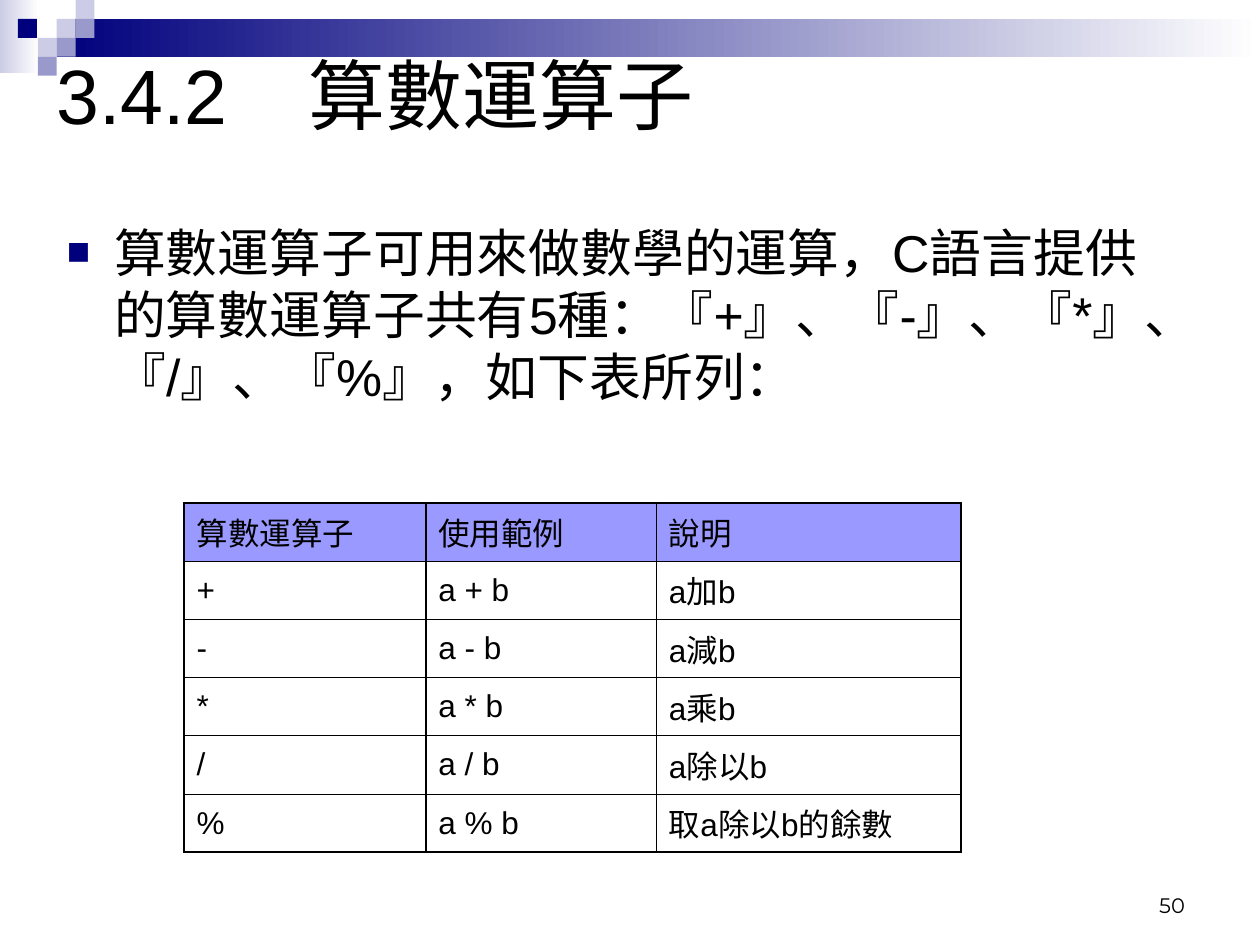
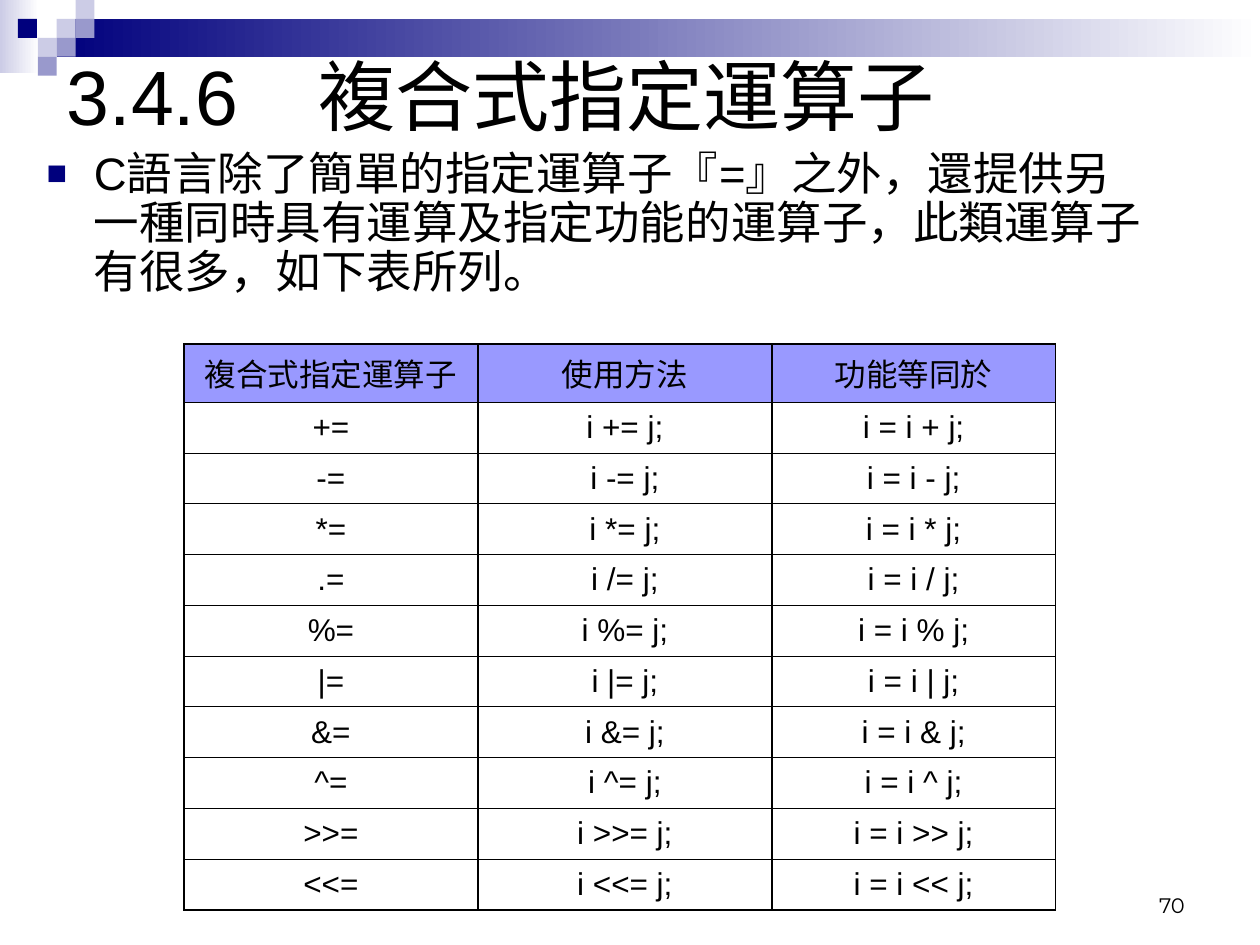
import pptx
import pptx.dml.color
import pptx.enum.shapes
import pptx.enum.text
import pptx.oxml
import pptx.oxml.ns
import pptx.util
from lxml import etree

Pt = pptx.util.Pt
ALIGN = pptx.enum.text.PP_ALIGN
ANCHOR = pptx.enum.text.MSO_ANCHOR
qn = pptx.oxml.ns.qn

BLACK, WHITE = "000000", "FFFFFF"
NAVY, LILAC, MAUVE = "00007D", "CCCCE6", "9999CC"
HEADER = "9999FF"
FONT, NUMBER_FONT = "Arial", "Montserrat"
TILE = 10.8
TILES = [(3, 1, LILAC), (4, 0, LILAC), (4, 1, MAUVE), (2, 2, LILAC),
         (0.95, 1, NAVY), (3, 2, MAUVE), (2, 3, MAUVE)]
THICK, THIN = 1.08, 0.45


def rgb(value):
    return pptx.dml.color.RGBColor.from_string(value)


def sub(parent, tag, **attrs):
    return etree.SubElement(parent, qn(tag), attrs)


class Deck:
    def __init__(self):
        self.prs = pptx.Presentation()
        self.prs.slide_width, self.prs.slide_height = Pt(720), Pt(540)
        self.layout = self.prs.slide_layouts[1]
        self.s = None

    def new_slide(self):
        self.s = self.prs.slides.add_slide(self.layout)
        if len(self.prs.slides) == 1:
            self.decorate_layout()

    def decorate_layout(self):
        """Draw the band and tiles, then move them to the shared layout."""
        band = [self.rect(0, 0, 22.3, 41.8, LILAC, True),
                self.rect(32.4, TILE, 687.6, 2 * TILE, NAVY, True)]
        band += [self.rect(col * TILE, row * TILE, TILE, TILE, color)
                 for col, row, color in TILES]
        tree = self.layout.shapes.element
        for i, sp in enumerate(band):
            sp.element.xpath(".//p:cNvPr")[0].set("id", str(100 + i))
            tree.insert(2 + i, sp.element)

    def rect(self, x, y, w, h, color, fade=False):
        """Add a borderless rectangle; fade runs from color to white."""
        sp = self.s.shapes.add_shape(
            pptx.enum.shapes.MSO_SHAPE.RECTANGLE, Pt(x), Pt(y), Pt(w), Pt(h))
        sp.shadow.inherit = False
        sp.line.fill.background()
        if fade:
            sp.fill.gradient()
            sp.fill.gradient_angle = 180
            for stop, value in zip(sp.fill.gradient_stops, (WHITE, color)):
                stop.color.rgb = rgb(value)
        else:
            sp.fill.solid()
            sp.fill.fore_color.rgb = rgb(color)
        return sp

    def style(self, p, size, align=ALIGN.LEFT, font=FONT):
        p.alignment = align
        p.space_before = Pt(0)
        for r in p.runs:
            r.font.size, r.font.name = Pt(size), font
            r.font.color.rgb = rgb(BLACK)

    def place(self, sp, box, anchor):
        sp.left, sp.top, sp.width, sp.height = map(Pt, box)
        tf = sp.text_frame
        tf.word_wrap = True
        tf.auto_size = pptx.enum.text.MSO_AUTO_SIZE.NONE
        tf.vertical_anchor = anchor
        return tf

    def title(self, number, text, box):
        tf = self.place(self.s.shapes.title, box, ANCHOR.MIDDLE)
        tf.text = f"{number}\t{text}"
        p = tf.paragraphs[0]
        tabs = sub(p._p.get_or_add_pPr(), "a:tabLst")
        sub(tabs, "a:tab", pos=str(Pt(144)), algn="l")
        self.style(p, 44)

    def bullet(self, text, box, size, spacing=1.0):
        tf = self.place(self.s.placeholders[1], box, ANCHOR.TOP)
        tf.text = text
        p = tf.paragraphs[0]
        pPr = p._p.get_or_add_pPr()
        pPr.set("marL", str(Pt(27)))
        pPr.set("indent", str(-Pt(27)))
        sub(sub(pPr, "a:buClr"), "a:srgbClr", val=NAVY)
        sub(pPr, "a:buSzPct", val="75000")
        sub(pPr, "a:buFont", typeface=FONT)
        sub(pPr, "a:buChar", char="■")
        p.line_spacing = spacing
        self.style(p, size)

    def borders(self, cell, first, last):
        widths = {"a:lnL": THICK, "a:lnR": THICK,
                  "a:lnT": THICK if first else THIN,
                  "a:lnB": THICK if last else THIN}
        tcPr = cell._tc.get_or_add_tcPr()
        for tag, width in widths.items():
            ln = sub(tcPr, tag, w=str(Pt(width)))
            sub(sub(ln, "a:solidFill"), "a:srgbClr", val=BLACK)

    def table(self, rows, x, y, widths, row_height, align=ALIGN.LEFT):
        header_height = 33.3
        height = header_height + row_height * (len(rows) - 1)
        table = self.s.shapes.add_table(
            len(rows), len(widths), Pt(x), Pt(y), Pt(sum(widths)), Pt(height)).table
        table.first_row = table.horz_banding = False
        for column, width in zip(table.columns, widths):
            column.width = Pt(width)
        for i, row in enumerate(rows):
            table.rows[i].height = Pt(row_height if i else header_height)
            for j, text in enumerate(row):
                cell = table.cell(i, j)
                cell.text = text
                cell.vertical_anchor = ANCHOR.MIDDLE
                self.style(cell.text_frame.paragraphs[0], 18, align)
                self.borders(cell, i == 0, i == len(rows) - 1)
                if i:
                    cell.fill.background()
                else:
                    cell.fill.solid()
                    cell.fill.fore_color.rgb = rgb(HEADER)

    def page_number(self, number):
        box = (516.2, 491.8, 168, 36)
        sp = self.s.shapes.add_textbox(*map(Pt, box))
        tf = self.place(sp, box, ANCHOR.BOTTOM)
        tf.text = str(number)
        self.style(tf.paragraphs[0], 12, ALIGN.RIGHT, NUMBER_FONT)


def arithmetic_slide(deck):
    deck.new_slide()
    deck.title("3.4.2", "算數運算子", (25.2, 20.2, 545.8, 66.2))
    deck.bullet("算數運算子可用來做數學的運算，C語言提供的算數運算子共有5種："
                "『+』、『-』、『*』、『/』、『%』，如下表所列：",
                (31, 122.4, 642.2, 136), 29.6)
    meanings = {"+": "a加b", "-": "a減b", "*": "a乘b", "/": "a除以b",
                "%": "取a除以b的餘數"}
    rows = [("算數運算子", "使用範例", "說明")]
    rows += [(op, f"a {op} b", meaning) for op, meaning in meanings.items()]
    deck.table(rows, 105.1, 287.3, (138.2, 131.8, 174.2), 33.3)
    deck.page_number(50)


def compound_assignment_slide(deck):
    deck.new_slide()
    deck.title("3.4.6", "複合式指定運算子", (31, 0, 648, 108))
    deck.bullet("C語言除了簡單的指定運算子『=』之外，還提供另一種同時具有運算及"
                "指定功能的運算子，此類運算子有很多，如下表所列。",
                (19.4, 82.8, 648, 154), 26, 0.9)
    rows = [("複合式指定運算子", "使用方法", "功能等同於")]
    for op in ("+", "-", "*", "/", "%", "|", "&", "^", ">>", "<<"):
        label = ".=" if op == "/" else f"{op}="
        rows.append((label, f"i {op}= j;", f"i = i {op} j;"))
    deck.table(rows, 105.1, 196.6, (168, 168, 162), 29, ALIGN.CENTER)
    deck.page_number(70)


def main():
    deck = Deck()
    arithmetic_slide(deck)
    compound_assignment_slide(deck)
    deck.prs.save("out.pptx")


if __name__ == "__main__":
    main()
